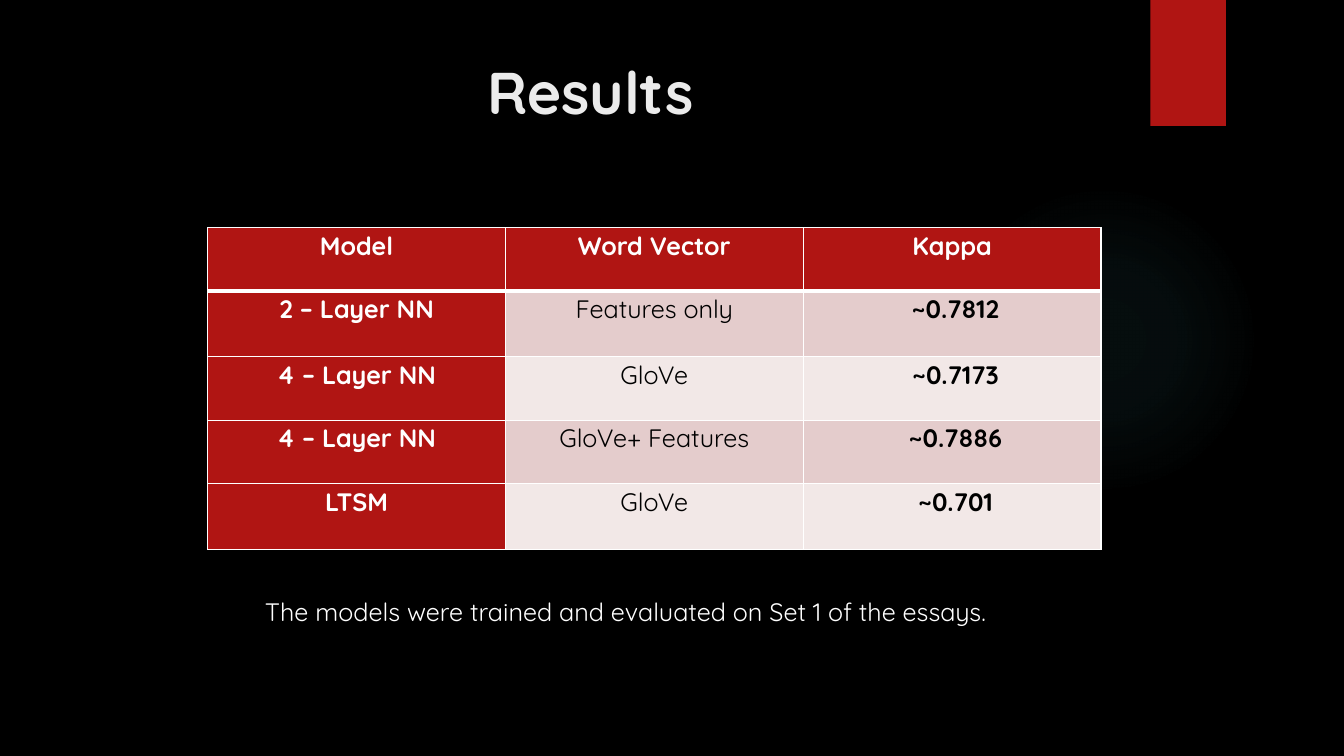
from lxml.etree import SubElement
from pptx import Presentation
from pptx.dml.color import RGBColor
from pptx.enum.shapes import MSO_SHAPE
from pptx.enum.text import MSO_ANCHOR, MSO_AUTO_SIZE, PP_ALIGN
from pptx.oxml import parse_xml
from pptx.oxml.ns import nsdecls, qn
from pptx.util import Inches, Pt

BLACK = RGBColor(0x00, 0x00, 0x00)
WHITE = RGBColor(0xFF, 0xFF, 0xFF)
OFF_WHITE = RGBColor(0xEB, 0xEB, 0xEB)
RED = RGBColor(0xB0, 0x15, 0x13)
ROSE = RGBColor(0xE4, 0xCC, 0xCC)
PALE_ROSE = RGBColor(0xF2, 0xE8, 0xE7)
TEAL = RGBColor(0x50, 0xB9, 0xC1)


def write(frame, text, size=18, color=WHITE, bold=False, align=PP_ALIGN.LEFT, spacing=None):
    para = frame.paragraphs[0]
    para.alignment = align
    para.line_spacing = spacing
    span = para.add_run()
    span.text = text
    span.font.name = "Quicksand"
    span.font.size = Pt(size)
    span.font.bold = bold
    span.font.color.rgb = color


def add_border(cell, side, width):
    line = SubElement(cell._tc.get_or_add_tcPr(), qn(f"a:ln{side}"), w=str(Pt(width)))
    fill = SubElement(line, qn("a:solidFill"))
    SubElement(fill, qn("a:srgbClr"), val=str(WHITE))


deck = Presentation()
deck.slide_width = Inches(13.33)
deck.slide_height = Inches(7.5)
page = deck.slides.add_slide(deck.slide_layouts[5])
page.background.fill.solid()
page.background.fill.fore_color.rgb = BLACK

# Soft glow on the right
glow = page.shapes.add_shape(
    MSO_SHAPE.OVAL, Inches(9.41), Inches(1.83), Inches(3.08), Inches(3.08))
glow.shadow.inherit = False
glow.line.fill.background()
stops = "".join(
    f'<a:gs pos="{position * 1000}"><a:srgbClr val="{TEAL}">'
    f'<a:alpha val="{opacity * 1000}"/></a:srgbClr></a:gs>'
    for position, opacity in [(0, 7), (36, 6), (69, 0)])
gradient = parse_xml(
    f'<a:gradFill {nsdecls("a")}><a:gsLst>{stops}</a:gsLst><a:path path="circle">'
    '<a:fillToRect l="50000" t="50000" r="50000" b="50000"/></a:path></a:gradFill>')
glow._element.spPr.find(qn("a:prstGeom")).addnext(gradient)

# Red ribbon at the top
ribbon = page.shapes.add_shape(
    MSO_SHAPE.RECTANGLE, Inches(11.41), 0, Inches(0.75), Inches(1.25))
ribbon.shadow.inherit = False
ribbon.fill.solid()
ribbon.fill.fore_color.rgb = RED
ribbon.line.fill.background()

# Title
title = page.shapes.title
title.left, title.top = Inches(0.71), Inches(0.5)
title.width, title.height = Inches(10.29), Inches(1.53)
title.text_frame.vertical_anchor = MSO_ANCHOR.TOP
write(title.text_frame, "Results", size=42, color=OFF_WHITE, bold=True, align=PP_ALIGN.CENTER)

# Results table: red header row and first column, banded body
results = [
    ("Model", "Word Vector", "Kappa"),
    ("2 – Layer NN", "Features only", " ~0.7812"),
    ("4 – Layer NN", "GloVe", " ~0.7173"),
    ("4 – Layer NN", "GloVe+ Features", " ~0.7886"),
    ("LTSM", "GloVe", " ~0.701"),
]
table = page.shapes.add_table(
    5, 3, Inches(2.06), Inches(2.26), Inches(8.86), Inches(3.2)).table
for row, height in zip(table.rows, [0.63, 0.65, 0.63, 0.63, 0.65]):
    row.height = Inches(height)

for row_index, values in enumerate(results):
    for column_index, value in enumerate(values):
        cell = table.cell(row_index, column_index)
        heading = row_index == 0 or column_index == 0
        cell.margin_left = cell.margin_right = Inches(0.07)
        cell.margin_top = cell.margin_bottom = 0
        for side in "LRTB":
            under_header = (row_index, side) in [(0, "B"), (1, "T")]
            add_border(cell, side, 3 if under_header else 1)
        cell.fill.solid()
        cell.fill.fore_color.rgb = RED if heading else ROSE if row_index % 2 else PALE_ROSE
        write(cell.text_frame, value, color=WHITE if heading else BLACK,
              bold=heading or column_index == 2, align=PP_ALIGN.CENTER, spacing=1.07)

# Caption under the table
caption = page.shapes.add_textbox(Inches(2.53), Inches(5.87), Inches(7.94), Inches(0.4))
caption.text_frame.word_wrap = True
caption.text_frame.auto_size = MSO_AUTO_SIZE.SHAPE_TO_FIT_TEXT
write(caption.text_frame, "The models were trained and evaluated on Set 1 of the essays.")

deck.save("out.pptx")
